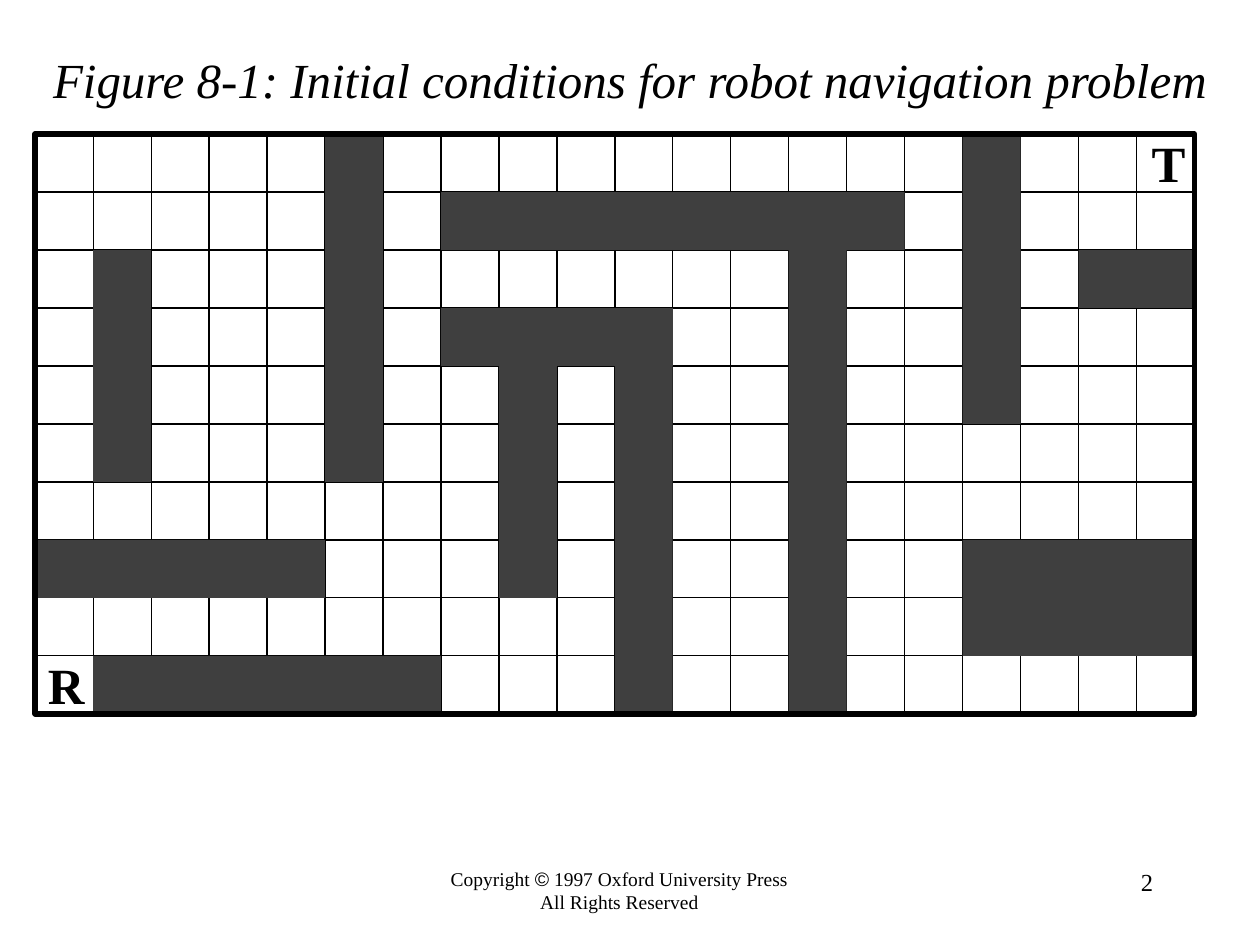
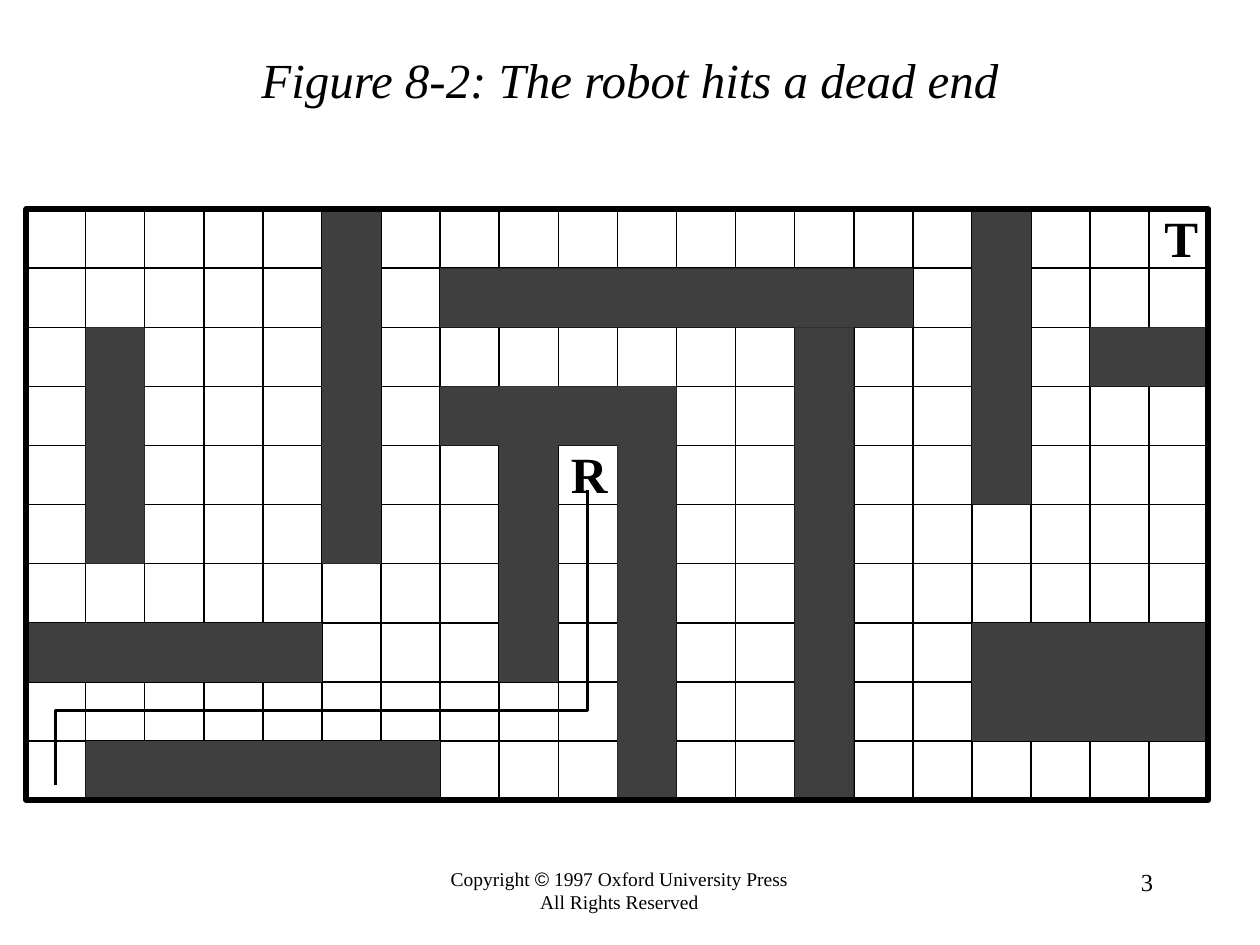
from pptx import Presentation
from pptx.dml.color import RGBColor
from pptx.enum.shapes import MSO_CONNECTOR, MSO_SHAPE
from pptx.enum.text import MSO_ANCHOR, MSO_AUTO_SIZE, PP_ALIGN
from pptx.oxml.ns import qn
from pptx.util import Inches, Pt
from lxml import etree

RECT, LINE = MSO_SHAPE.RECTANGLE, MSO_CONNECTOR.STRAIGHT
LEFT, CENTER, RIGHT = PP_ALIGN.LEFT, PP_ALIGN.CENTER, PP_ALIGN.RIGHT
COLORS = {"ink": "000000", "wall": "3F3F3F"}
SERIF, SANS = "Times New Roman", "Arial"
COLS, ROWS = 20, 10

# Walls in grid cells: column, row, columns wide, rows high
WALLS = [
    (1, 2, 1, 4), (0, 7, 5, 1), (1, 9, 6, 1), (5, 0, 1, 6),
    (7, 3, 4, 1), (8, 3, 1, 5), (10, 3, 1, 7), (13, 2, 1, 8),
    (7, 1, 8, 1), (16, 0, 1, 5), (18, 2, 2, 1), (16, 7, 4, 2),
]

# Each figure: title box and text, board place and width, line widths,
# robot cell, and the robot's route in inches
FIGURES = [
    {"number": "2", "title": "Figure 8-1: Initial conditions for robot navigation problem",
     "title_left": 0, "title_width": 10, "left": 0.28, "top": 1.065, "width": 9.2,
     "grid": 0.75, "frame": 3.25, "robot": (0, 9), "route": []},
    {"number": "3", "title": "Figure 8-2: The robot hits a dead end",
     "title_left": 0.25, "title_width": 9.5, "left": 0.21, "top": 1.66, "width": 9.38,
     "grid": 0.88, "frame": 3.37, "robot": (9, 4),
     "route": [(0.44, 6.23), (0.44, 5.64), (4.66, 5.64), (4.66, 3.89)]},
]


def add_run(p, text, size, font=SERIF, bold=False, italic=False):
    r = p.add_run()
    r.text = text
    r.font.name, r.font.size = font, Pt(size)
    r.font.bold, r.font.italic = bold, italic
    r.font.color.rgb = RGBColor.from_string(COLORS["ink"])


def add_text(s, left, top, width, height, align, inset=True):
    tf = s.shapes.add_textbox(Inches(left), Inches(top), Inches(width), Inches(height)).text_frame
    tf.word_wrap = inset
    tf.margin_left = tf.margin_right = Inches(0.1 if inset else 0)
    tf.margin_top = tf.margin_bottom = Inches(0.05 if inset else 0)
    tf.paragraphs[0].alignment = align
    return tf.paragraphs[0]


prs = Presentation()
prs.slide_width, prs.slide_height = Inches(10), Inches(7.5)

for fig in FIGURES:
    s = prs.slides.add_slide(prs.slide_layouts[5])
    left, top, width = fig["left"], fig["top"], fig["width"]
    cell = width / COLS
    height = cell * ROWS

    # Title
    title = s.shapes.title
    title.left, title.top = Inches(fig["title_left"]), Inches(0)
    title.width, title.height = Inches(fig["title_width"]), Inches(1.25)
    tf = title.text_frame
    tf.auto_size, tf.vertical_anchor = MSO_AUTO_SIZE.NONE, MSO_ANCHOR.MIDDLE
    tf.paragraphs[0].alignment = CENTER
    add_run(tf.paragraphs[0], fig["title"], 28, italic=True)

    # Copyright and slide number
    p = add_text(s, 3, 6.83, 3.83, 0.5, CENTER)
    add_run(p, "Copyright ", 11.1)
    add_run(p, "©", 11.1, font=SANS)
    add_run(p, " 1997 Oxford University Press", 11.1)
    p.add_line_break()
    add_run(p, "All Rights Reserved", 11.1)
    add_run(add_text(s, 7.17, 6.83, 2.08, 0.5, RIGHT), fig["number"], 14)

    # Grid lines
    rows = [(left, top + i * cell, left + width, top + i * cell) for i in range(1, ROWS)]
    cols = [(left + i * cell, top, left + i * cell, top + height) for i in range(1, COLS)]
    for ends in rows + cols:
        line = s.shapes.add_connector(LINE, *[Inches(v) for v in ends])
        line.line.width = Pt(fig["grid"])
        line.line.color.rgb = RGBColor.from_string(COLORS["ink"])
        etree.SubElement(line._element.spPr, qn("a:effectLst"))

    # Walls
    for col, row, wide, high in WALLS:
        wall = s.shapes.add_shape(RECT, Inches(left + col * cell), Inches(top + row * cell),
                                  Inches(wide * cell), Inches(high * cell))
        wall.shadow.inherit = False
        wall.fill.solid()
        wall.fill.fore_color.rgb = RGBColor.from_string(COLORS["wall"])
        wall.line.fill.background()

    # Robot and target letters
    for letter, (col, row), indent in [("R", fig["robot"], 0.1), ("T", (COLS - 1, 0), 0.12)]:
        p = add_text(s, left + col * cell + indent, top + row * cell - 0.02, 0.29, 0.48,
                     LEFT, inset=False)
        add_run(p, letter, 29, bold=True)

    # Board frame
    frame = s.shapes.add_shape(RECT, Inches(left), Inches(top), Inches(width), Inches(height))
    outlines = [(frame, fig["frame"])]

    # Route travelled by the robot
    if fig["route"]:
        points = [(Inches(x), Inches(y)) for x, y in fig["route"]]
        builder = s.shapes.build_freeform(*points[0])
        builder.add_line_segments(points[1:], close=False)
        outlines.append((builder.convert_to_shape(), 1.62))

    for sp, weight in outlines:
        sp.shadow.inherit = False
        sp.fill.background()
        sp.line.width = Pt(weight)
        sp.line.color.rgb = RGBColor.from_string(COLORS["ink"])

prs.save("out.pptx")
